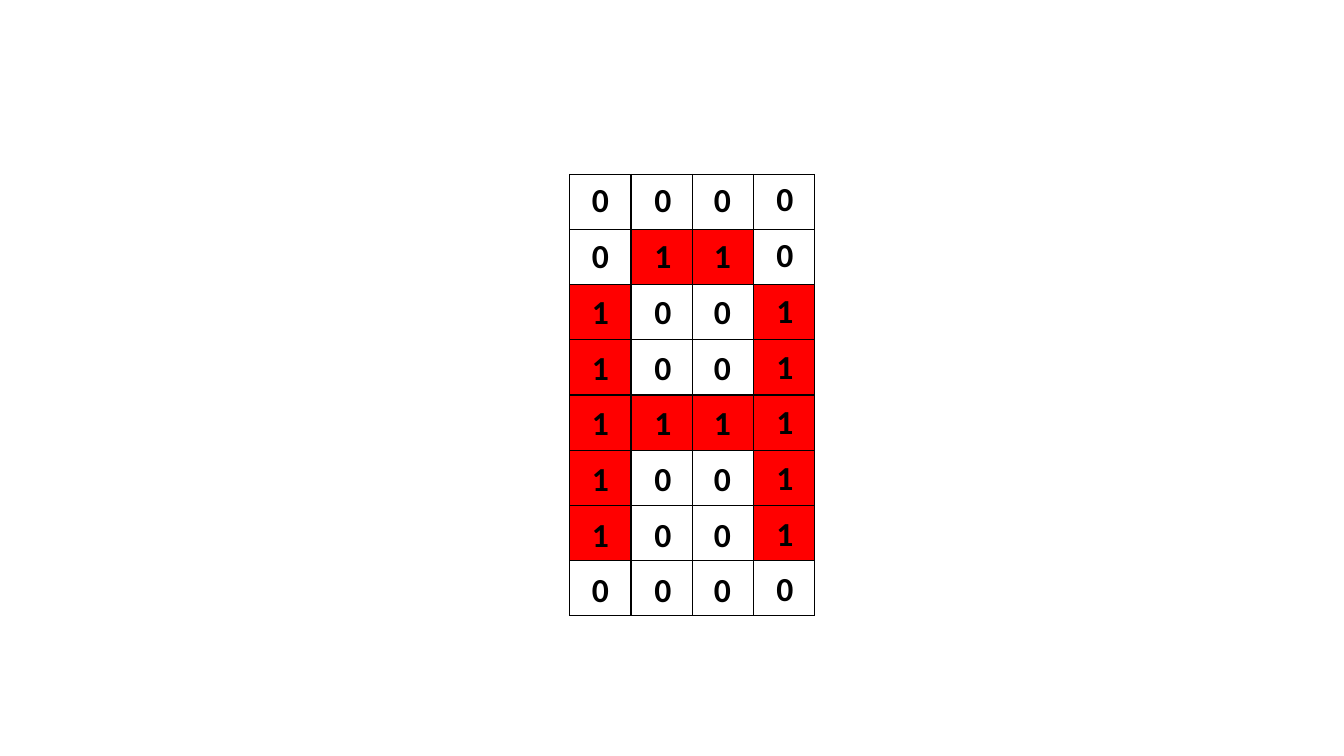
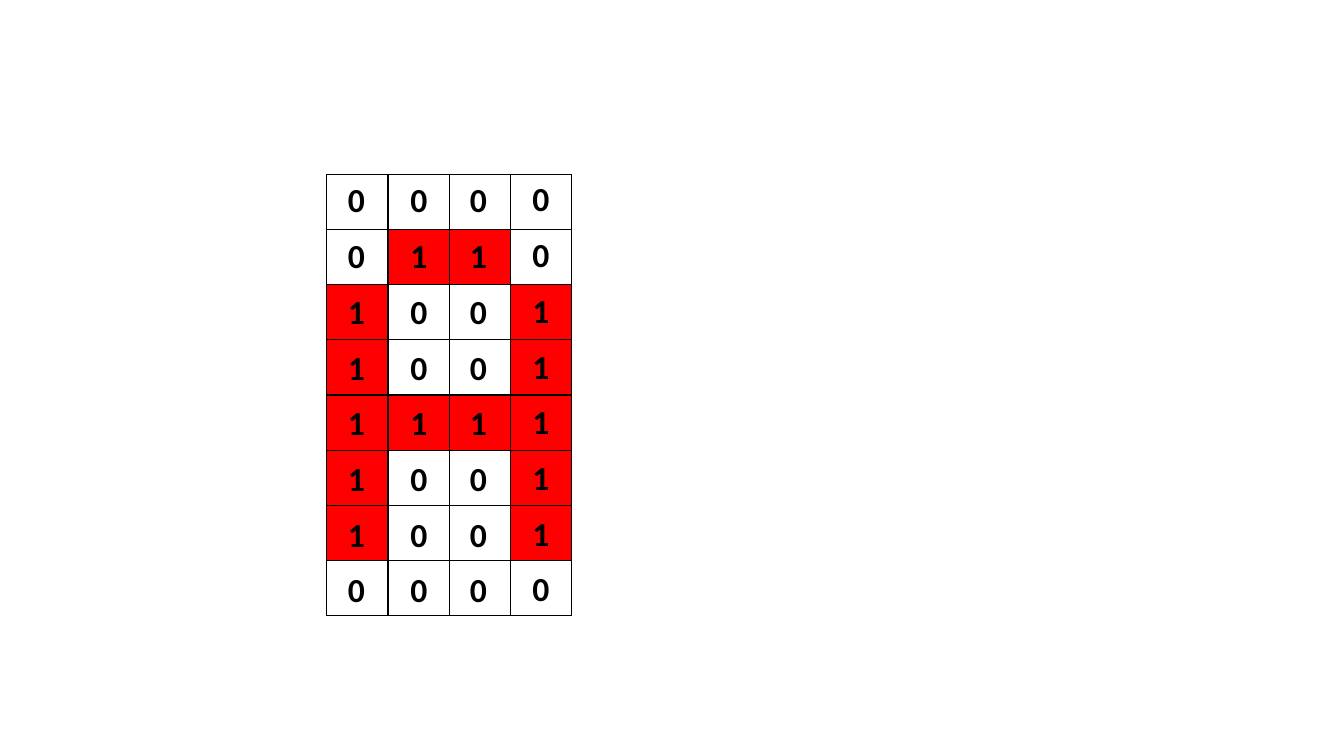
import pptx
import pptx.dml.color
import pptx.enum.text
import pptx.oxml
import pptx.oxml.ns
import pptx.util

Inches, Pt = pptx.util.Inches, pptx.util.Pt
RGBColor = pptx.dml.color.RGBColor

# Content: the letter A as a bitmap, one string per row
LETTER_ROWS = ["0000", "0110", "1001", "1001", "1111", "1001", "1001", "0000"]
# One entry per slide: left edge of the grid, left edge of the digits, digits grouped
PLACEMENTS = [(5.65, 5.65, False), (3.24, 3.23, True)]

# Shared look
RED = RGBColor(0xFF, 0, 0)
BLACK = RGBColor(0, 0, 0)
DIGIT_FONT = {"name": "Calibri", "size": Pt(24), "bold": True}
DIGIT_PARAGRAPH = {"alignment": pptx.enum.text.PP_ALIGN.CENTER, "space_after": Pt(11)}
DIGIT_FRAME = {"word_wrap": True,
               "auto_size": pptx.enum.text.MSO_AUTO_SIZE.SHAPE_TO_FIT_TEXT}

# Geometry
GRID_TOP, GRID_WIDTH, GRID_HEIGHT = 1.73, 2.43, 4.38
DIGIT_WIDTH, DIGIT_HEIGHT = 0.61, 4.41
DIGIT_OFFSETS = [(0, 0), (0.62, 0), (1.21, 0), (1.83, -0.01)]


def apply_format(target, values):
    for name, value in values.items():
        setattr(target, name, value)


def draw_borders(cell):
    properties = cell._tc.get_or_add_tcPr()
    for position, side in enumerate(("lnL", "lnR", "lnT", "lnB")):
        properties.insert(position, pptx.oxml.parse_xml(
            f'<a:{side} {pptx.oxml.ns.nsdecls("a")} w="{Pt(1)}"><a:solidFill>'
            f'<a:srgbClr val="{BLACK}"/></a:solidFill></a:{side}>'))


def add_grid(slide, left):
    columns = len(LETTER_ROWS[0])
    grid = slide.shapes.add_table(
        len(LETTER_ROWS), columns, Inches(left), Inches(GRID_TOP),
        Inches(GRID_WIDTH), Inches(GRID_HEIGHT)).table
    apply_format(grid, {"first_row": False, "horz_banding": False})
    for row, bits in enumerate(LETTER_ROWS):
        for column, bit in enumerate(bits):
            cell = grid.cell(row, column)
            if bit == "1":
                cell.fill.solid()
                cell.fill.fore_color.rgb = RED
            else:
                cell.fill.background()
            draw_borders(cell)


def add_digit_column(shapes, bits, left, top):
    frame = shapes.add_textbox(Inches(left), Inches(top),
                               Inches(DIGIT_WIDTH), Inches(DIGIT_HEIGHT)).text_frame
    apply_format(frame, DIGIT_FRAME)
    frame.text = "\n".join(bits)
    for paragraph in frame.paragraphs:
        apply_format(paragraph, DIGIT_PARAGRAPH)
        digit = paragraph.runs[0]
        apply_format(digit.font, DIGIT_FONT)
        digit.font.color.rgb = BLACK


# Build the slides
deck = pptx.Presentation()
apply_format(deck, {"slide_width": Inches(13.33), "slide_height": Inches(7.5)})
for grid_left, digits_left, grouped in PLACEMENTS:
    slide = deck.slides.add_slide(deck.slide_layouts[6])
    add_grid(slide, grid_left)
    digit_shapes = slide.shapes.add_group_shape().shapes if grouped else slide.shapes
    for bits, (across, down) in zip(zip(*LETTER_ROWS), DIGIT_OFFSETS):
        add_digit_column(digit_shapes, bits, digits_left + across, GRID_TOP + down)

deck.save("out.pptx")
